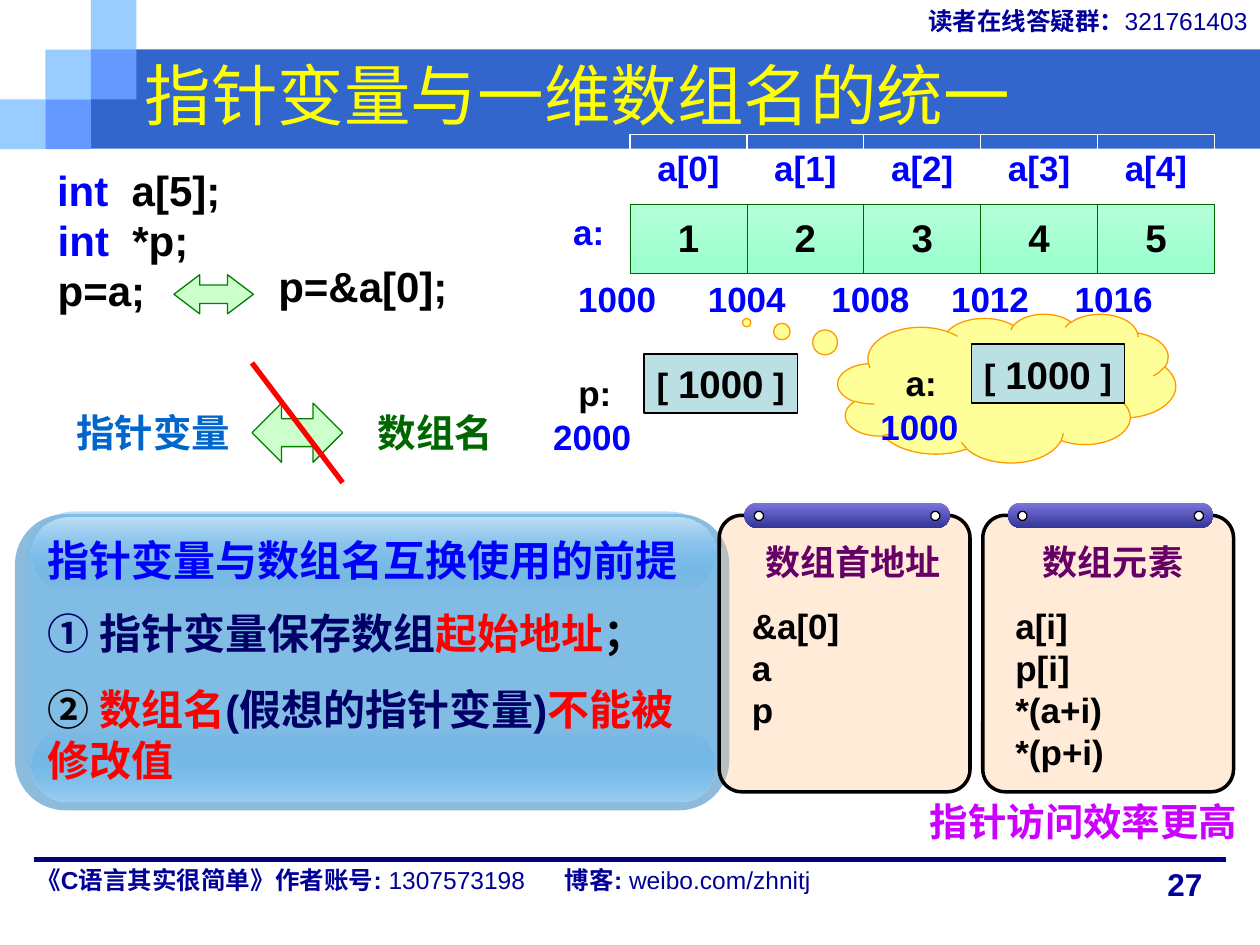
import dataclasses

import lxml.etree
import pptx
import pptx.dml.color
import pptx.enum.shapes
import pptx.enum.text
import pptx.oxml.ns
import pptx.util

Pt = pptx.util.Pt
Shape = pptx.enum.shapes.MSO_SHAPE
Align = pptx.enum.text.PP_ALIGN
Anchor = pptx.enum.text.MSO_ANCHOR
qn = pptx.oxml.ns.qn


@dataclasses.dataclass(frozen=True)
class Theme:
    latin: str = "Arial"
    asian: str = "Noto Sans CJK SC"
    title: int = 38
    code: int = 24
    value: int = 22
    label: int = 20
    number: int = 18
    small: int = 14
    black: str = "000000"
    white: str = "FFFFFF"
    blue: str = "0000FF"
    red: str = "FF0000"
    yellow: str = "FFFF00"
    navy: str = "000099"
    ink: str = "000066"
    rule: str = "000080"
    pointer: str = "0066CC"
    array: str = "006600"
    purple: str = "660066"
    magenta: str = "CC00FF"
    banner: str = "3366CC"
    light_tile: str = "99CCFF"
    mid_tile: str = "6699FF"
    arrow: str = "CCFFCC"
    arrow_edge: str = "008000"
    memory: str = "BBE0E3"
    cloud: str = "FFFF99"
    cloud_edge: str = "FF9900"
    card: str = "FFCC99"
    panel_edge: str = "8DBBDB"
    panel: str = "77BDED"
    gloss_top: tuple = ("BEE0F7", "3CA1E6")
    gloss_bottom: tuple = ("3CA1E6", "9BCFF2")
    clip: tuple = ("7B76DC", "333399")
    cell: tuple = ("B4FFD9", "99FFCC")


THEME = Theme()


def rgb(color):
    return pptx.dml.color.RGBColor.from_string(color)


def paint(fill, colors):
    if isinstance(colors, str):
        fill.solid()
        fill.fore_color.rgb = rgb(colors)
        return
    fill.gradient()
    fill.gradient_angle = 270
    for stop, color in zip(fill.gradient_stops, colors):
        stop.color.rgb = rgb(color)


def write(frame, paragraphs, size=THEME.label, color=THEME.black, bold=True,
          align=Align.LEFT, before=0, wrap=False, anchor=Anchor.TOP):
    frame.word_wrap = wrap
    frame.auto_size = pptx.enum.text.MSO_AUTO_SIZE.NONE
    frame.vertical_anchor = anchor
    for index, spans in enumerate(paragraphs):
        para = frame.add_paragraph() if index else frame.paragraphs[0]
        para.alignment = align
        para.space_before = Pt(before if index else 0)
        for words, changes in spans:
            look = {"size": size, "color": color, "bold": bold, **changes}
            span = para.add_run()
            span.text = words
            span.font.size = Pt(look["size"])
            span.font.bold = look["bold"]
            span.font.color.rgb = rgb(look["color"])
            span.font.name = THEME.latin
            asian = lxml.etree.SubElement(span.font._element, qn("a:ea"))
            asian.set("typeface", THEME.asian)


def add_text(page, at, content, **style):
    box = page.shapes.add_textbox(*map(Pt, at))
    paragraphs = [[(content, {})]] if isinstance(content, str) else content
    write(box.text_frame, paragraphs, **style)
    return box


def add_shape(page, kind, at, fill, edge=None, weight=0.75, adjust=(), alphas=()):
    shape = page.shapes.add_shape(kind, *map(Pt, at))
    shape.shadow.inherit = False
    for index, value in enumerate(adjust):
        shape.adjustments[index] = value
    paint(shape.fill, fill)
    for color, alpha in zip(shape.element.spPr.iter(qn("a:srgbClr")), alphas):
        lxml.etree.SubElement(color, qn("a:alpha")).set("val", str(alpha * 1000))
    if edge:
        shape.line.color.rgb = rgb(edge)
        shape.line.width = Pt(weight)
    else:
        shape.line.fill.background()
    return shape


def add_line(page, ends, color):
    line = page.shapes.add_connector(pptx.enum.shapes.MSO_CONNECTOR.STRAIGHT, *map(Pt, ends))
    line.line.color.rgb = rgb(color)
    line.line.width = Pt(3)
    lxml.etree.SubElement(line.element.spPr, qn("a:effectLst"))


def add_header(page):
    add_shape(page, Shape.RECTANGLE, (52, 28.3, 668, 56.7), THEME.banner)
    tiles = [(0, 2, THEME.light_tile), (1, 1, THEME.light_tile), (2, 0, THEME.light_tile),
             (2, 1, THEME.mid_tile), (1, 2, THEME.mid_tile)]
    for column, row, color in tiles:
        add_shape(page, Shape.RECTANGLE, (column * 26, row * 28.4, 26, 28.4), color)
    title = page.shapes.title
    title.left, title.top, title.width, title.height = map(Pt, (75.6, 20, 630, 67))
    write(title.text_frame, [[("指针变量与一维数组名的统一", {})]], size=THEME.title,
          color=THEME.yellow, bold=False, wrap=True, anchor=Anchor.MIDDLE)
    title.element.getparent().append(title.element)
    add_text(page, (306, 0, 414, 26), [[("读者在线答疑群：", {}), ("321761403", {"bold": False})]],
             size=THEME.small, color=THEME.navy, align=Align.RIGHT, wrap=True)


def add_footer(page):
    add_text(page, (660, 491, 40, 29), "27", size=THEME.number, color=THEME.navy, wrap=True)
    add_line(page, (19.5, 491, 700.5, 491), THEME.rule)
    plain = {"bold": False}
    credit = add_text(page, (13.7, 491, 550, 34),
                      [[("《C语言其实很简单》作者账号: ", {}), ("1307573198\t", plain),
                        ("博客: ", {}), ("weibo.com/zhnitj", plain)]],
                      size=THEME.small, color=THEME.navy, wrap=True)
    properties = credit.text_frame.paragraphs[0]._p.get_or_add_pPr()
    stops = lxml.etree.SubElement(properties, qn("a:tabLst"))
    lxml.etree.SubElement(stops, qn("a:tab"), pos=str(Pt(302)), algn="l")


def add_code(page):
    keyword = ("int  ", {"color": THEME.blue})
    add_text(page, (25.5, 90.7, 121, 36), [[keyword, ("a[5];", {})]], size=THEME.code)
    add_text(page, (25.9, 118.8, 96, 65), [[keyword, ("*p;", {})], [("p=a;", {})]],
             size=THEME.code)
    add_text(page, (152, 145.4, 117, 36), "p=&a[0];", size=THEME.code)
    for at, adjust in [((99.4, 157, 45.4, 22.3), (0.47, 0.66)),
                       ((144, 230.4, 51.8, 33.8), (0.47, 0.5))]:
        add_shape(page, Shape.LEFT_RIGHT_ARROW, at, THEME.arrow, THEME.arrow_edge, adjust=adjust)
    add_line(page, (144, 207.4, 195.8, 275.8), THEME.red)
    add_text(page, (36.7, 230.4, 96.5, 34), "指针变量", size=THEME.value, color=THEME.pointer)
    add_text(page, (208.8, 230.4, 77, 34), "数组名", size=THEME.value, color=THEME.array)


def add_premise(page):
    for at, fill, radius, alphas in [
            ((8.6, 293.8, 408.2, 169.2), THEME.panel_edge, 0.17, ()),
            ((14.4, 292.3, 396, 165.6), THEME.panel, 0.17, (50,)),
            ((18, 416.2, 391, 41.8), THEME.gloss_bottom, 0.5, (0, 100)),
            ((18, 296, 391, 41.8), THEME.gloss_top, 0.5, (100, 0))]:
        add_shape(page, Shape.ROUNDED_RECTANGLE, at, fill, adjust=(radius,), alphas=alphas)
    add_text(page, (20.2, 301.7, 396.7, 36), "指针变量与数组名互换使用的前提",
             size=THEME.code, color=THEME.blue, wrap=True)
    red, black = {"color": THEME.red}, {"color": THEME.black}
    add_text(page, (20.2, 343.5, 385.2, 108.7),
             [[("① 指针变量保存数组", {}), ("起始地址", red), ("；", black)],
              [("② ", black), ("数组名", red), ("(假想的指针变量)", {}), ("不能被 修改值", red)]],
             size=THEME.code, color=THEME.ink, before=15, wrap=True)


def add_card(page, left, heading, items):
    add_shape(page, Shape.ROUNDED_RECTANGLE, (left, 294.5, 143.3, 158), THEME.card,
              THEME.black, 2, (0.09,), (38,))
    add_shape(page, Shape.ROUNDED_RECTANGLE, (left + 14.4, 287.3, 117.4, 14.4), THEME.clip,
              adjust=(0.5,))
    for offset in (20.2, 121):
        add_shape(page, Shape.OCTAGON, (left + offset, 292.3, 5, 5), THEME.white, THEME.black)
    box = add_text(page, (left + 11.5, 305.3, 130.3, 139.7),
                   [[(heading, {"color": THEME.purple})]] + [[(item, {})] for item in items],
                   wrap=True)
    first = box.text_frame.paragraphs[0]
    first.alignment = Align.CENTER
    first.space_after = Pt(12.5)


def add_border(cell, sides):
    properties = cell._tc.get_or_add_tcPr()
    for index, side in enumerate(sides):
        line = lxml.etree.Element(qn("a:ln" + side), w=str(Pt(0.45)))
        fill = lxml.etree.SubElement(line, qn("a:solidFill"))
        lxml.etree.SubElement(fill, qn("a:srgbClr"), val=THEME.array)
        properties.insert(index, line)


def add_array(page):
    table = page.shapes.add_table(2, 5, *map(Pt, (360, 77, 334, 79.2))).table
    table.first_row = table.horz_banding = False
    for row in table.rows:
        row.height = Pt(39.6)
    for index, column in enumerate(table.columns):
        column.width = Pt(66.8)
        name, value = table.cell(0, index), table.cell(1, index)
        for cell, words, size, color in [(name, f"a[{index}]", THEME.label, THEME.blue),
                                         (value, str(index + 1), THEME.value, THEME.black)]:
            write(cell.text_frame, [[(words, {})]], size=size, color=color,
                  align=Align.CENTER, wrap=True)
            cell.vertical_anchor = Anchor.MIDDLE
        name.fill.background()
        paint(value.fill, THEME.cell)
        add_border(name, "B")
        add_border(value, "LRTB")
    add_text(page, (320.4, 116.6, 57, 31.7), "a:", color=THEME.blue, wrap=True)
    for index, left in enumerate((323.3, 397.4, 468, 536.4, 607)):
        add_text(page, (left, 154.8, 64, 31.7), str(1000 + 4 * index), color=THEME.blue)


def add_variable(page, left, top, name, name_offset, address):
    add_text(page, (left + name_offset, top + 6.5, 38, 31.7), name)
    box = add_shape(page, Shape.RECTANGLE, (left + 59, top, 87.8, 33.8), THEME.memory, THEME.black)
    write(box.text_frame, [[("[ ", {}), ("1000", {"size": THEME.value}), (" ]", {})]],
          align=Align.CENTER, anchor=Anchor.MIDDLE)
    add_text(page, (left, top + 31.7, 64, 31.7), address, color=THEME.blue)


def main():
    deck = pptx.Presentation()
    deck.slide_width, deck.slide_height = Pt(720), Pt(540)
    page = deck.slides.add_slide(deck.slide_layouts[5])
    add_header(page)
    add_footer(page)
    add_code(page)
    add_premise(page)
    add_card(page, 411, "数组首地址", ["&a[0]", "a", "p"])
    add_card(page, 561.6, "数组元素 ", ["a[i]", "p[i]", "*(a+i)", "*(p+i)"])
    add_text(page, (524.2, 452.2, 200.9, 34), "指针访问效率更高", size=THEME.value,
             color=THEME.magenta)
    add_variable(page, 309, 202.3, "p:", 14.4, "2000")
    add_array(page)
    add_shape(page, Shape.CLOUD_CALLOUT, (478.8, 179.3, 193, 85), THEME.cloud,
              THEME.cloud_edge, adjust=(-0.77, -0.44))
    add_variable(page, 496, 196.6, "a:", 14.4, "1000")
    deck.save("out.pptx")


if __name__ == "__main__":
    main()
